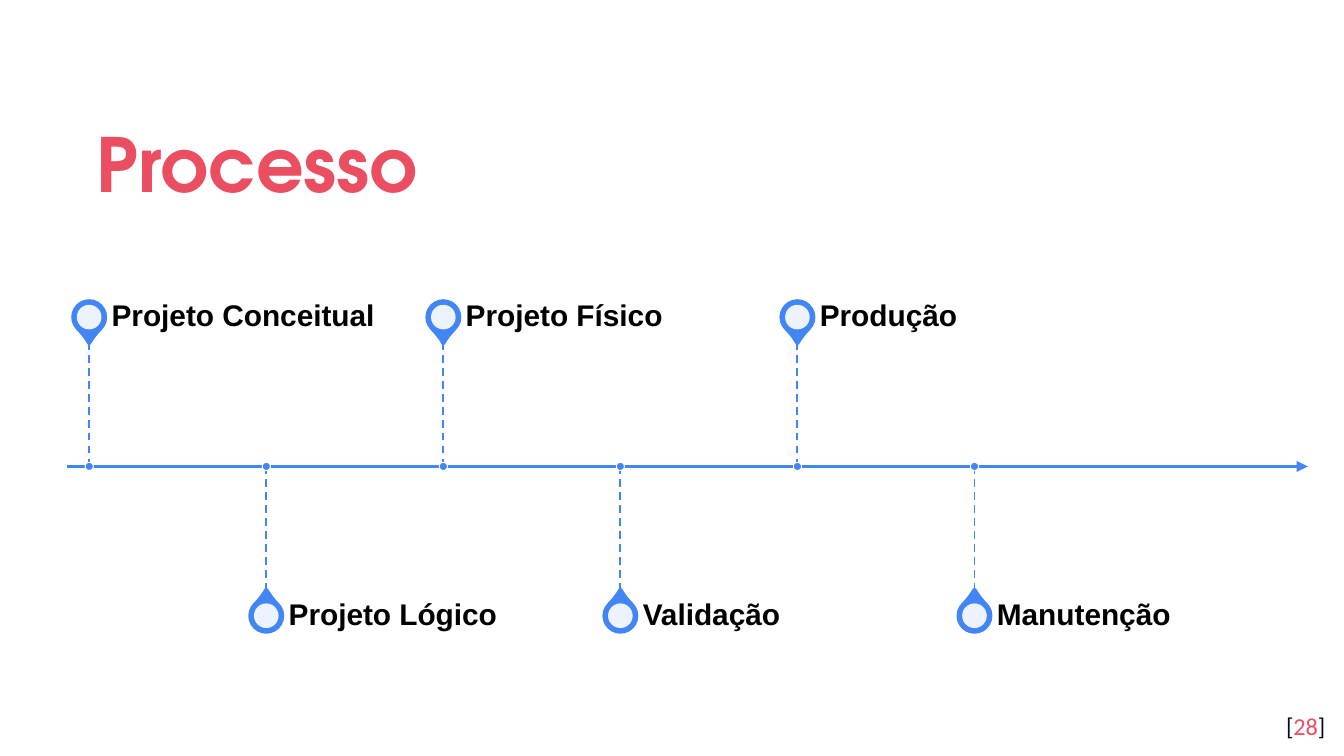
from dataclasses import dataclass

from lxml.etree import SubElement
from pptx import Presentation
from pptx.dml.color import RGBColor
from pptx.enum.dml import MSO_LINE
from pptx.enum.shapes import MSO_CONNECTOR, MSO_SHAPE
from pptx.enum.text import MSO_ANCHOR, MSO_AUTO_SIZE, PP_ALIGN
from pptx.oxml.ns import qn
from pptx.util import Pt


@dataclass(frozen=True)
class Theme:
    accent: RGBColor = RGBColor(0xEA, 0x4E, 0x60)
    blue: RGBColor = RGBColor(0x42, 0x85, 0xF4)
    white: RGBColor = RGBColor(0xFF, 0xFF, 0xFF)
    black: RGBColor = RGBColor(0, 0, 0)
    navy: RGBColor = RGBColor(0x04, 0x0A, 0x24)
    title_font: str = "TeX Gyre Adventor"
    label_font: str = "Arial"
    number_font: str = "Calibri"
    title_size: int = 40
    label_size: int = 16
    number_size: int = 13


theme = Theme()
presentation = Presentation()
presentation.slide_width, presentation.slide_height = Pt(720), Pt(405)
slide = presentation.slides.add_slide(presentation.slide_layouts[5])


def add_run(paragraph, text, font_name, size, color, bold=False):
    run = paragraph.add_run()
    run.text = text
    run.font.name = font_name
    run.font.size = Pt(size)
    run.font.bold = bold
    run.font.color.rgb = color


def add_line(start_x, start_y, end_x, end_y, width):
    line = slide.shapes.add_connector(
        MSO_CONNECTOR.STRAIGHT, Pt(start_x), Pt(start_y), Pt(end_x), Pt(end_y))
    line.line.color.rgb = theme.blue
    line.line.width = Pt(width)
    SubElement(line._element.spPr, qn("a:effectLst"))
    return line


# Title
title = slide.shapes.title
title.left, title.top, title.width, title.height = Pt(44.6), Pt(50.4), Pt(631.4), Pt(66.2)
frame = title.text_frame
frame.auto_size = MSO_AUTO_SIZE.NONE
frame.vertical_anchor = MSO_ANCHOR.MIDDLE
frame.margin_left = frame.margin_right = frame.margin_top = frame.margin_bottom = Pt(7.2)
paragraph = frame.paragraphs[0]
paragraph.alignment = PP_ALIGN.LEFT
paragraph.line_spacing = 1.15
add_run(paragraph, "Processo", theme.title_font, theme.title_size, theme.accent, True)

# Page number
page_number = slide.shapes.add_textbox(Pt(673.9), Pt(373.7), Pt(43.2), Pt(31))
frame = page_number.text_frame
frame.word_wrap = True
frame.margin_left = frame.margin_right = frame.margin_top = frame.margin_bottom = Pt(7.2)
paragraph = frame.paragraphs[0]
paragraph.alignment = PP_ALIGN.RIGHT
for text, color in (("[", theme.navy), ("28", theme.accent), ("]", theme.navy)):
    add_run(paragraph, text, theme.number_font, theme.number_size, color)

# Timeline axis
axis_y = 249.9
axis = add_line(36, axis_y, 700.6, axis_y, 1.5)
SubElement(axis.line._get_or_add_ln(), qn("a:tailEnd"), type="triangle")

# Steps alternate above and below the axis
steps = ["Projeto Conceitual", "Projeto Lógico", "Projeto Físico",
         "Validação", "Produção", "Manutenção"]
first_x, step_gap = 47.8, 94.85
pin_distance, stem_length = 80, 68
pin_size, hole_size, dot_size = 17.2, 13.2, 4.4

for index, name in enumerate(steps):
    x = first_x + index * step_gap
    side = -1 if index % 2 == 0 else 1
    pin_y = axis_y + side * pin_distance

    # Pin, hole and axis dot share one centred construction
    stem = add_line(x, axis_y, x, axis_y + side * stem_length, 1)
    stem.line.dash_style = MSO_LINE.DASH
    for kind, center_y, size, fill, outline, outline_width in (
            (MSO_SHAPE.TEAR, pin_y, pin_size, theme.blue, theme.blue, 2),
            (MSO_SHAPE.OVAL, pin_y, hole_size, theme.white, None, 0),
            (MSO_SHAPE.OVAL, axis_y, dot_size, theme.blue, theme.white, 0.5)):
        shape = slide.shapes.add_shape(
            kind, Pt(x - size / 2), Pt(center_y - size / 2), Pt(size), Pt(size))
        shape.shadow.inherit = False
        shape.fill.solid()
        shape.fill.fore_color.rgb = fill
        if kind == MSO_SHAPE.TEAR:
            shape.adjustments[0] = 1.15
            shape.rotation = 135 if side < 0 else 315
        if outline is None:
            shape.line.fill.background()
            color_element = shape._element.spPr.find(".//" + qn("a:srgbClr"))
            SubElement(color_element, qn("a:alpha"), val="90000")
        else:
            shape.line.color.rgb = outline
            shape.line.width = Pt(outline_width)

    # Label
    label = slide.shapes.add_textbox(Pt(x + 12), Pt(pin_y - 12.1), Pt(157.7), Pt(23.8))
    frame = label.text_frame
    frame.word_wrap = True
    frame.vertical_anchor = MSO_ANCHOR.MIDDLE
    frame.margin_left = frame.margin_top = frame.margin_bottom = 0
    frame.margin_right = Pt(7.9)
    paragraph = frame.paragraphs[0]
    paragraph.line_spacing = 0.9
    add_run(paragraph, name, theme.label_font, theme.label_size, theme.black, True)

presentation.save("out.pptx")
